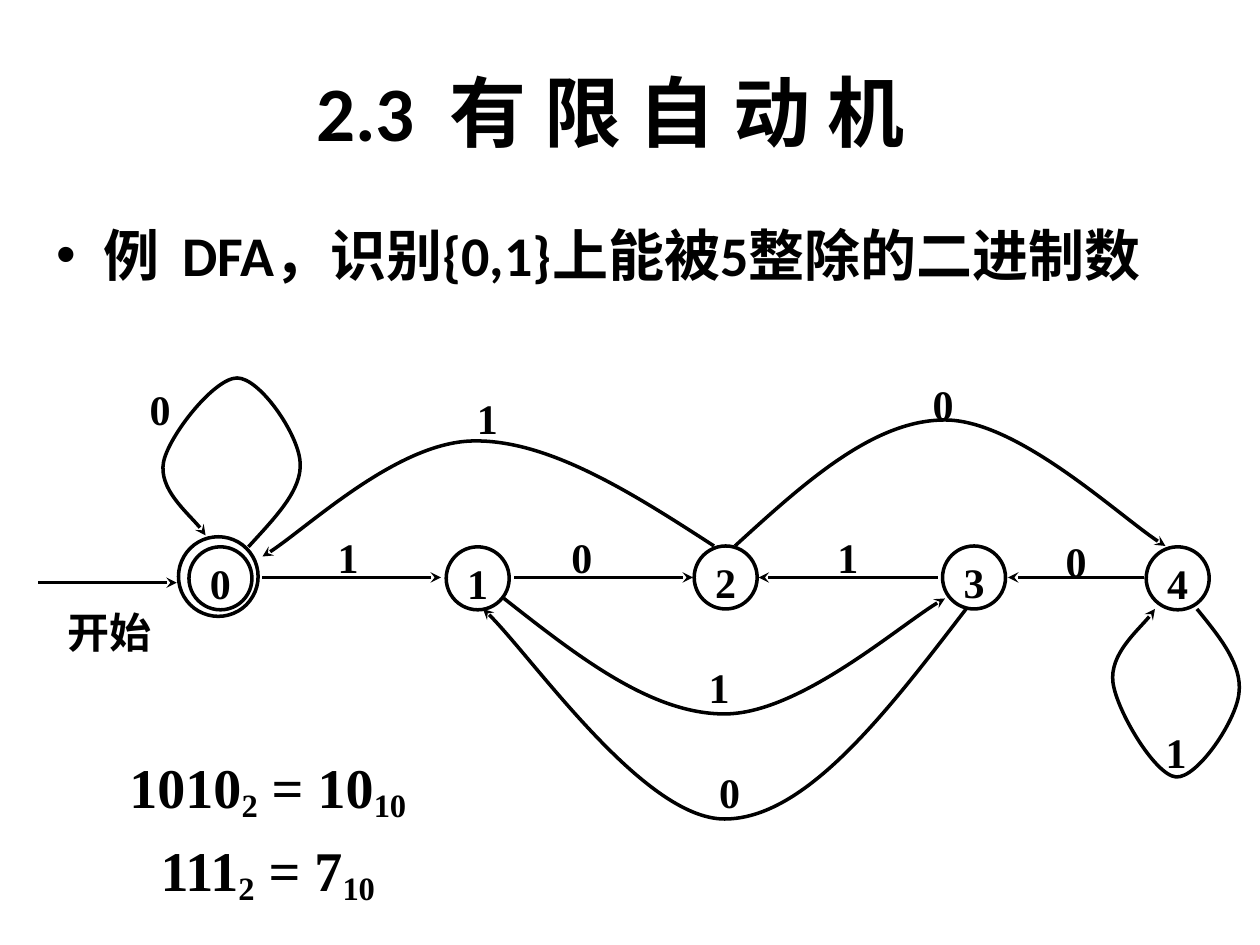
from dataclasses import dataclass
from pptx import Presentation
from pptx.dml.color import RGBColor
from pptx.enum.shapes import MSO_CONNECTOR as Link, MSO_SHAPE as Preset
from pptx.enum.text import MSO_ANCHOR as Anchor, PP_ALIGN as Align
from pptx.oxml.ns import qn
from pptx.util import Pt
from lxml.etree import SubElement

INK = "000000"
SERIF = "Times New Roman"
DIAMETER = 36

STATES = [("0", 106, 114.5), ("1", 253, 114.5), ("2", 394.7, 114),
          ("3", 536.6, 114), ("4", 653, 114.5)]
STRAIGHT_EDGES = [
    ((2, 117), (81, 117)),
    ((130, 114), (232, 114)),
    ((274, 114), (376, 114)),
    ((516, 114), (413.5, 114)),
    ((634, 114), (556, 114)),
]
CURVED_EDGES = [
    [(122, 96.5), (137, 80), (153, 64), (151.5, 48), (150.5, 32), (128.5, 0), (115.5, 0),
     (102.5, 0), (76.5, 33), (73.5, 48), (70.5, 63.5), (94, 83), (97.5, 90)],
    [(268, 126), (310, 159), (352, 192), (394, 192), (436, 192), (499, 137), (520, 126)],
    [(400, 96), (439.5, 60), (479, 24), (520, 24), (561, 24), (625, 84), (646, 96)],
    [(388, 96), (341, 65.5), (293, 35), (250, 36), (207, 37), (150, 91), (130, 102)],
    [(532, 132), (486, 192), (440, 252), (394, 252), (348, 252), (279, 152), (256, 132)],
    [(664, 132), (677, 148), (690, 164), (688, 180), (686.5, 196), (664, 229), (652, 228),
     (640, 227), (618, 190), (616, 174), (614, 158), (636, 139), (640, 132)],
]
EDGE_LABELS = [("0", 56.5, 3), ("1", 164, 88), ("0", 297.5, 88), ("1", 376, 162),
               ("0", 504, 0), ("1", 243.5, 8.5), ("0", 382, 222), ("1", 449.5, 88),
               ("0", 580, 90), ("1", 637, 199)]
EQUATIONS = [("1010", "10"), ("111", "7")]


@dataclass
class Box:
    left: float
    top: float
    width: float
    height: float

    def inner(self, left, top, width, height):
        return Box(self.left + left, self.top + top, width, height)

    def point(self, x, y):
        return Pt(self.left + x), Pt(self.top + y)

    def frame(self):
        return Pt(self.left), Pt(self.top), Pt(self.width), Pt(self.height)


def colour(value):
    return RGBColor.from_string(value)


def add_span(para, text, size, face, baseline=0):
    span = para.add_run()
    span.text = text
    span.font.size = Pt(size)
    span.font.name = face
    span.font.bold = True
    span.font.color.rgb = colour(INK)
    if baseline:
        span._r.get_or_add_rPr().set("baseline", str(baseline))


def set_frame(shape, anchor, wrap, top=0):
    frame = shape.text_frame
    frame.word_wrap = wrap
    frame.vertical_anchor = anchor
    frame.margin_left = frame.margin_right = frame.margin_bottom = 0
    frame.margin_top = Pt(top)
    return frame


def centre_text(shape, text, face=SERIF):
    para = set_frame(shape, Anchor.MIDDLE, False, 4.8).paragraphs[0]
    para.alignment = Align.CENTER
    add_span(para, text, 24, face)


def draw_line(shape, arrow=False):
    shape.line.color.rgb = colour(INK)
    shape.line.width = Pt(2)
    if arrow:
        SubElement(shape.line._get_or_add_ln(), qn("a:tailEnd"), type="stealth")


def add_circle(page, box):
    circle = page.shapes.add_shape(Preset.OVAL, *box.frame())
    circle.shadow.inherit = False
    circle.fill.background()
    draw_line(circle)
    return circle


def add_label(page, box, text, face=SERIF):
    centre_text(page.shapes.add_textbox(*box.frame()), text, face)


def add_straight_edge(page, box, start, end):
    edge = page.shapes.add_connector(Link.STRAIGHT, *box.point(*start), *box.point(*end))
    draw_line(edge, arrow=True)
    SubElement(edge._element.spPr, qn("a:effectLst"))


def add_curved_edge(page, box, points):
    builder = page.shapes.build_freeform(*box.point(*points[0]))
    builder.add_line_segments([box.point(*point) for point in points[1:]], close=False)
    edge = builder.convert_to_shape()
    outline = next(edge._element.iter(qn("a:path")))
    segments = outline.findall(qn("a:lnTo"))
    for first in range(0, len(segments), 3):
        curve = SubElement(outline, qn("a:cubicBezTo"))
        for segment in segments[first:first + 3]:
            curve.append(segment[0])
            outline.remove(segment)
    edge.shadow.inherit = False
    edge.fill.background()
    draw_line(edge, arrow=True)


def place_title(page, box):
    title = page.shapes.title
    title.left, title.top, title.width, title.height = box.frame()
    frame = set_frame(title, Anchor.MIDDLE, True)
    frame.margin_right = Pt(10)
    para = frame.paragraphs[0]
    para.alignment = Align.CENTER
    add_span(para, "2.3  有 限 自 动 机", 44, "Calibri")


def add_example(page, box):
    frame = set_frame(page.shapes.add_textbox(*box.frame()), Anchor.TOP, True)
    frame.margin_left = Pt(7.2)
    para = frame.paragraphs[0]
    props = para._p.get_or_add_pPr()
    props.set("marL", str(Pt(27)))
    props.set("indent", str(Pt(-27)))
    SubElement(props, qn("a:buFont"), typeface="Arial")
    SubElement(props, qn("a:buChar"), char="•")
    add_span(para, "例\tDFA，识别{0,1}上能被5整除的二进制数", 32, "Calibri")


def draw_automaton(page, box):
    add_circle(page, box.inner(82, 90.7, 45.5, 45.5))
    for name, x, y in STATES:
        spot = box.inner(x - DIAMETER / 2, y - DIAMETER / 2, DIAMETER, DIAMETER)
        centre_text(add_circle(page, spot), name)
    for start, end in STRAIGHT_EDGES:
        add_straight_edge(page, box, start, end)
    for points in CURVED_EDGES:
        add_curved_edge(page, box, points)
    for text, left, top in EDGE_LABELS:
        add_label(page, box.inner(left, top, 30, 24), text)
    add_label(page, box.inner(5, 126, 75, 33), "开始", "Courier New")


def add_equations(page, box):
    frame = set_frame(page.shapes.add_textbox(*box.frame()), Anchor.MIDDLE, False, 6.4)
    for index, (binary, decimal) in enumerate(EQUATIONS):
        para = frame.add_paragraph() if index else frame.paragraphs[0]
        para.alignment = Align.CENTER
        if index:
            para.space_before = Pt(7)
        for text, baseline in ((binary, 0), ("2", -16000), (f" = {decimal}", 0), ("10", -16000)):
            add_span(para, text, 32, SERIF, baseline)


def main():
    deck = Presentation()
    deck.slide_width, deck.slide_height = Pt(720), Pt(540)
    page = deck.slides.add_slide(deck.slide_layouts[5])
    place_title(page, Box(48, 18, 612, 90))
    add_example(page, Box(25, 126, 675, 70))
    draw_automaton(page, Box(20, 216, 690, 252))
    add_equations(page, Box(42, 426, 222, 90))
    deck.save("out.pptx")


if __name__ == "__main__":
    main()
